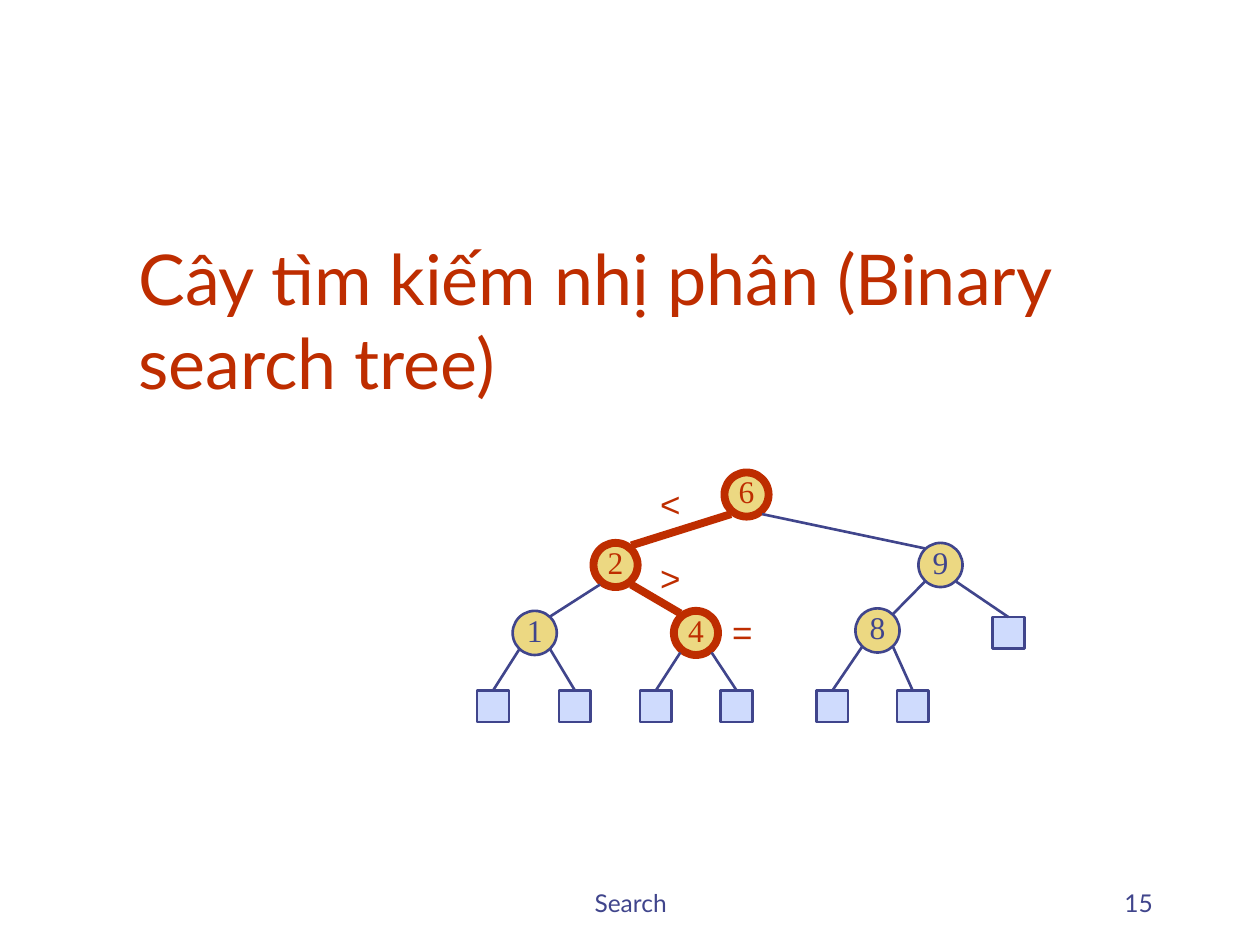
import math
from dataclasses import dataclass
from typing import Any, Optional

import pptx
import pptx.dml.color
import pptx.enum.shapes
import pptx.enum.text
import pptx.oxml.ns
import pptx.util
from lxml import etree

Cm = pptx.util.Cm
Pt = pptx.util.Pt
Align = pptx.enum.text.PP_ALIGN
Anchor = pptx.enum.text.MSO_ANCHOR
Kind = pptx.enum.shapes.MSO_SHAPE

RED, BLUE, GOLD, PALE = "BE2D00", "40458C", "ECD882", "CFDBFD"
DISC, BOX = 0.89, 0.64  # sizes of keys and leaves, cm


@dataclass
class Node:
    """Tree node with its centre in cm; one without a key is a leaf."""
    x: float
    y: float
    key: str = ""
    hot: bool = False
    left: Optional["Node"] = None
    right: Optional["Node"] = None


@dataclass
class Label:
    text: str
    x: float
    y: float
    w: float
    h: float
    size: int
    font: str
    color: str
    align: Any = Align.CENTER
    anchor: Any = Anchor.TOP
    wrap: bool = True


def paint(form: Any, color: str) -> None:
    """Give a fill, or the fill of a line, a solid colour."""
    form.solid()
    form.fore_color.rgb = pptx.dml.color.RGBColor.from_string(color)


def write(frame: Any, text: str, size: int, font: str, color: str, align: Any) -> None:
    para = frame.paragraphs[0]
    para.alignment = align
    run = para.add_run()
    run.text = text
    run.font.size = Pt(size)
    run.font.name = font
    paint(run.font.fill, color)


def add_label(slide: Any, item: Label) -> None:
    box = slide.shapes.add_textbox(Cm(item.x), Cm(item.y), Cm(item.w), Cm(item.h))
    frame = box.text_frame
    frame.word_wrap = item.wrap
    frame.vertical_anchor = item.anchor
    write(frame, item.text, item.size, item.font, item.color, item.align)


def stroke(line: Any, hot: bool) -> None:
    paint(line.fill, RED if hot else BLUE)
    line.width = Pt(4.5 if hot else 1.5)


def corner(node: Node, dx: int, dy: int) -> tuple[float, float]:
    """Point on a disc's diagonal, moved out to the edge of its outline."""
    step = DISC / 2 * math.sqrt(0.5)
    gap = 0.08 if node.hot else 0.02
    return node.x + dx * step, node.y + dy * (step + gap)


def add_edge(slide: Any, top: Node, child: Node, side: int, shape: Any) -> None:
    x1, y1 = corner(top, side, 1)
    x2, y2 = corner(child, -side, -1)
    line = slide.shapes.add_connector(
        pptx.enum.shapes.MSO_CONNECTOR.STRAIGHT, Cm(x1), Cm(y1), Cm(x2), Cm(y2))
    if not child.key:
        line.end_connect(shape, 0)
    stroke(line.line, top.hot and child.hot)
    etree.SubElement(line.element.spPr, pptx.oxml.ns.qn("a:effectLst"))


def add_node(slide: Any, node: Node) -> Any:
    """Draw a node, then each subtree and the edge that leads to it."""
    size = DISC if node.key else BOX
    shape = slide.shapes.add_shape(
        Kind.OVAL if node.key else Kind.RECTANGLE,
        Cm(node.x - size / 2), Cm(node.y - size / 2), Cm(size), Cm(size))
    shape.shadow.inherit = False
    paint(shape.fill, GOLD if node.key else PALE)
    stroke(shape.line, node.hot)
    if node.key:
        frame = shape.text_frame
        frame.word_wrap = False
        frame.vertical_anchor = Anchor.MIDDLE
        frame.margin_left = frame.margin_right = frame.margin_top = 0
        frame.margin_bottom = Cm(0.13)
        write(frame, node.key, 18, "Times New Roman",
              RED if node.hot else BLUE, Align.CENTER)
    for child, side in ((node.left, -1), (node.right, 1)):
        if child:
            add_edge(slide, node, child, side, add_node(slide, child))
    return shape


# Search tree; the hot nodes mark the way to key 4
LOW = 14.24  # centre of the bottom row of leaves
one = Node(10.78, 12.76, "1", False, Node(9.94, LOW), Node(11.59, LOW))
four = Node(14.03, 12.76, "4", True, Node(13.22, LOW), Node(14.85, LOW))
eight = Node(17.69, 12.71, "8", False, Node(16.78, LOW), Node(18.4, LOW))
two = Node(12.41, 11.39, "2", True, one, four)
nine = Node(18.96, 11.39, "9", False, eight, Node(20.33, 12.76))
root = Node(15.05, 9.97, "6", True, two, nine)

LABELS = [
    # Footer
    Label("Search", 8.69, 17.35, 8.05, 1.27, 14, "Lato", BLUE, anchor=Anchor.BOTTOM),
    Label("15", 18.21, 17.35, 5.28, 1.27, 14, "Lato", BLUE, Align.RIGHT, Anchor.BOTTOM),
    # Title
    Label("Cây tìm kiếm nhị phân (Binary search tree)", 2.54, 2.74, 21.59, 5.51,
          40, "Lato", RED, Align.LEFT, Anchor.BOTTOM),
    # Comparisons along the way
    Label("<", 13.06, 9.6, 0.91, 1.12, 20, "Arial", RED, wrap=False),
    Label(">", 13.06, 11.1, 0.91, 1.12, 20, "Arial", RED, wrap=False),
    Label("=", 14.43, 12.19, 1.07, 1.12, 20, "Arial", RED, wrap=False),
]


def main() -> None:
    deck = pptx.Presentation()
    deck.slide_width, deck.slide_height = Cm(25.4), Cm(19.05)
    slide = deck.slides.add_slide(deck.slide_layouts[6])
    paint(slide.background.fill, "FFFFFF")
    add_node(slide, root)
    for item in LABELS:
        add_label(slide, item)
    deck.save("out.pptx")


if __name__ == "__main__":
    main()
